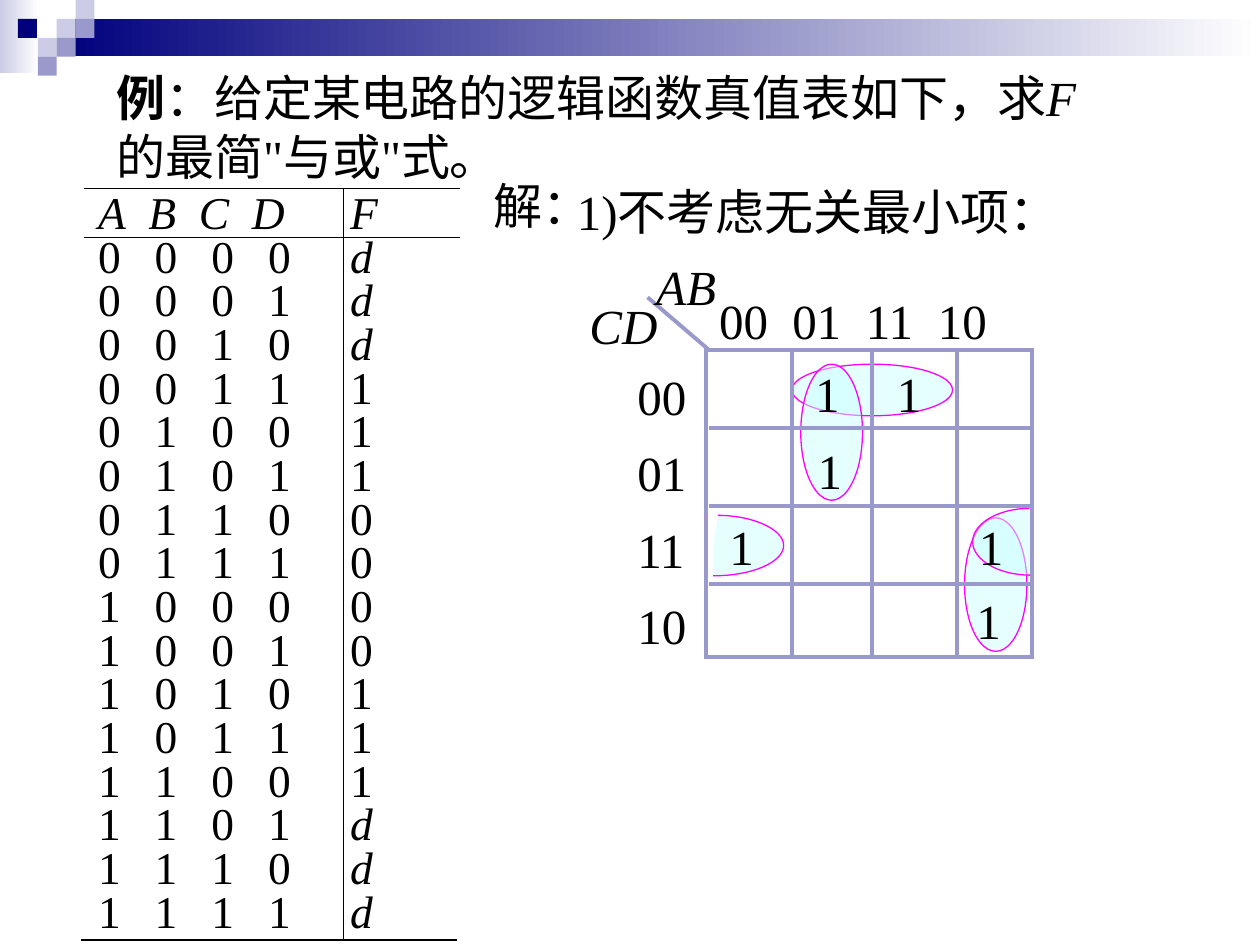
from copy import deepcopy

from lxml import etree
from pptx import Presentation
from pptx.dml.color import RGBColor
from pptx.enum.shapes import MSO_CONNECTOR, MSO_SHAPE
from pptx.enum.text import MSO_AUTO_SIZE
from pptx.oxml.ns import qn
from pptx.util import Inches, Pt

RECT, OVAL = MSO_SHAPE.RECTANGLE, MSO_SHAPE.OVAL
STRAIGHT = MSO_CONNECTOR.STRAIGHT
GROW = MSO_AUTO_SIZE.SHAPE_TO_FIT_TEXT

BLACK = RGBColor(0x00, 0x00, 0x00)
WHITE = RGBColor(0xFF, 0xFF, 0xFF)
NAVY = RGBColor(0x00, 0x00, 0x7D)
LILAC = RGBColor(0x99, 0x99, 0xCC)
PALE_LILAC = RGBColor(0xCC, 0xCC, 0xE6)
PALE_CYAN = RGBColor(0xCC, 0xFF, 0xFF)
MAGENTA = RGBColor(0xFF, 0x00, 0xFF)

COLUMNS = 100  # the grid has 100 columns and 75 rows of square cells
BEZIER = 0.55  # handle length of a quarter ellipse, as a share of its radius
LOOP = {"fill": PALE_CYAN, "alpha": 50, "line": MAGENTA}
GRID = {"color": LILAC, "width": 2.25}


class Sketch:
    font = "Times New Roman"
    size = 28

    def __init__(self, prs):
        self.slide = prs.slides.add_slide(prs.slide_layouts[6])
        self.shapes = self.slide.shapes
        self.cell = prs.slide_width / COLUMNS

    def emu(self, *cells):
        return [round(c * self.cell) for c in cells]

    def paint(self, s, fill=None, line=None, width=0.75, alpha=None):
        s.shadow.inherit = False
        if fill is None:
            s.fill.background()
        else:
            s.fill.solid()
            s.fill.fore_color.rgb = fill
        if alpha is not None:
            color = s.fill._xPr.find(qn("a:solidFill"))[0]
            etree.SubElement(color, qn("a:alpha"), val=str(alpha * 1000))
        if line is None:
            s.line.fill.background()
        else:
            s.line.color.rgb = line
            s.line.width = Pt(width)
            etree.SubElement(s.line._get_or_add_ln(), qn("a:miter"), lim="800000")

    def shape(self, kind, x, y, w, h, **style):
        s = self.shapes.add_shape(kind, *self.emu(x, y, w, h))
        self.paint(s, **style)
        return s

    def fade(self, x, y, w, h, color):
        """Rectangle fading from color to white, left to right."""
        s = self.shape(RECT, x, y, w, h)
        s.fill.gradient()
        s.fill.gradient_angle = 0
        for stop, rgb, position in zip(s.fill.gradient_stops, (color, WHITE), (0, 1)):
            stop.color.rgb = rgb
            stop.position = position

    def line(self, x1, y1, x2, y2, color=BLACK, width=0.75):
        s = self.shapes.add_connector(STRAIGHT, *self.emu(x1, y1, x2, y2))
        s.line.color.rgb = color
        s.line.width = Pt(width)
        etree.SubElement(s._element.spPr, qn("a:effectLst"))

    def half_oval(self, x, y, rx, ry, trim):
        """Half ellipse, stroked on its arc only; a negative rx bulges left.

        The open side is centred on x, y; the arc starts trim cells inside it.
        """
        hx, hy = x + rx * BEZIER, ry * BEZIER
        points = [(x + trim, y - ry), (hx, y - ry), (x + rx, y - hy), (x + rx, y),
                  (x + rx, y + hy), (hx, y + ry), (x, y + ry), (x, y)]
        start, *rest = [self.emu(*p) for p in points]
        builder = self.shapes.build_freeform(*start)
        builder.add_line_segments(rest, close=True)
        s = builder.convert_to_shape()

        area = s._element.spPr.find(".//" + qn("a:path"))
        steps = area.findall(qn("a:lnTo"))
        for quarter in (steps[:3], steps[3:6]):
            curve = etree.Element(qn("a:cubicBezTo"))
            quarter[0].addprevious(curve)
            for step in quarter:
                curve.append(step[0])
                area.remove(step)
        arc = deepcopy(area)
        for part in arc[-2:]:
            arc.remove(part)
        arc.set("fill", "none")
        area.set("stroke", "0")
        area.addprevious(arc)
        self.paint(s, **LOOP)

    def text(self, x, y, w, h, paragraphs, size=None, spacing=None, wrap=True):
        """Each paragraph is (runs, tab stops); each run is (text, "", "b" or "i")."""
        s = self.shapes.add_textbox(*self.emu(x, y, w, h))
        tf = s.text_frame
        tf.word_wrap = wrap
        tf.auto_size = GROW
        for i, (runs, tabs) in enumerate(paragraphs):
            p = tf.add_paragraph() if i else tf.paragraphs[0]
            if spacing:
                p.line_spacing = spacing
            if tabs:
                tab_list = etree.SubElement(p._p.get_or_add_pPr(), qn("a:tabLst"))
                for stop in self.emu(*tabs):
                    etree.SubElement(tab_list, qn("a:tab"), pos=str(stop), algn="l")
            p.font.name = self.font
            p.font.size = Pt(size or self.size)
            p.font.color.rgb = BLACK
            for words, style in runs:
                r = p.add_run()
                r.text = words
                if style == "b":
                    r.font.bold = True
                elif style == "i":
                    r.font.italic = True

    def label(self, x, y, w, words, style="", h=5.7, **options):
        self.text(x, y, w, h, [([(words, style)], ())], **options)


def draw_banner(sk):
    sk.fade(0, 0, 3.1, 5.8, PALE_LILAC)
    sk.fade(4.5, 1.5, 95.5, 2.95, NAVY)
    side = 1.5
    for col, row, color in ((3, 1, PALE_LILAC), (4, 0, PALE_LILAC), (4, 1, LILAC),
                            (2, 2, PALE_LILAC), (0.95, 1, NAVY), (3, 2, LILAC),
                            (2, 3, LILAC)):
        sk.shape(RECT, col * side, row * side, side, side, fill=color)


def draw_truth_table(sk):
    rows = [([("A\tB\tC\tD\tF", "i")], (4, 8, 12.2, 20))]
    for i, f in enumerate("ddd1110000111ddd"):
        inputs = "\t".join(f"{i:04b}") + "\t"
        runs = [(inputs, ""), (f, "i")] if f == "d" else [(inputs + f, "")]
        rows.append((runs, (4.5, 9, 13.5, 20)))
    top, bottom = 14.96, 74.6
    sk.text(6.8, top, 28.7, 60, rows, size=26, spacing=0.8)
    for x, y in ((6.64, 18.85), (6.64, top), (6.4, bottom)):
        sk.line(x, y, x + 29.9, y)
    sk.line(27.26, top, 27.26, bottom)


def draw_karnaugh_map(sk):
    for box in ((62.85, 28.9, 12.75, 4.1), (63.55, 28.9, 4.9, 10.8),
                (76.55, 41.1, 4.95, 10.6)):
        sk.shape(OVAL, *box, **LOOP)
    sk.half_oval(56.6, 43.3, 5.6, 2.4, 0.4)
    sk.half_oval(81.8, 43, -4.6, 2.65, -0.1)

    codes = ("00", "01", "11", "10")
    left, right, top, bottom = 56.3, 82.1, 27.8, 52.2
    sk.shape(RECT, 56.04, 27.76, 25.9, 24.4, line=LILAC, width=2.25)
    sk.line(56.3, top, 51.4, 23.6, **GRID)
    for x in (62.86, 69.2, 75.92):
        sk.line(x, top, x, bottom, **GRID)
    for y in (34, 40.16, 46.34):
        sk.line(left, y, right, y, **GRID)

    sk.text(56.1, 22.6, 24, 5.7, [([("\t".join(codes), "")], (5.8, 11.65, 17.35))])
    sk.text(49.6, 27.2, 7.5, 25.3, [([(c, "")], ()) for c in codes], spacing=1.3)
    sk.label(51.1, 19.9, 6.8, "AB", "i", wrap=False)
    sk.label(45.8, 23, 7.4, "CD", "i", wrap=False)

    for x in (63.7, 70.2):
        sk.label(x, 27.4, 5.1, "1", h=6.6, spacing=1.2)
    for x, y in ((63.9, 34.5), (56.9, 40.5), (76.7, 40.5), (76.5, 46.4)):
        sk.label(x, y, 4, "1", wrap=False)


def main():
    prs = Presentation()
    prs.slide_width, prs.slide_height = Inches(10), Inches(7.5)
    sk = Sketch(prs)
    draw_banner(sk)
    draw_truth_table(sk)
    draw_karnaugh_map(sk)
    sk.text(8.25, 4.9, 79.9, 10.3, [([
        ("例", "b"), ("：给定某电路的逻辑函数真值表如下，求", ""),
        ("F", "i"), ("的最简\"与或\"式。", "")], ())])
    sk.label(38.2, 13.4, 9.7, "解：", wrap=False)
    sk.label(44.8, 13.9, 40.1, "1)不考虑无关最小项：", wrap=False)
    prs.save("out.pptx")


if __name__ == "__main__":
    main()
